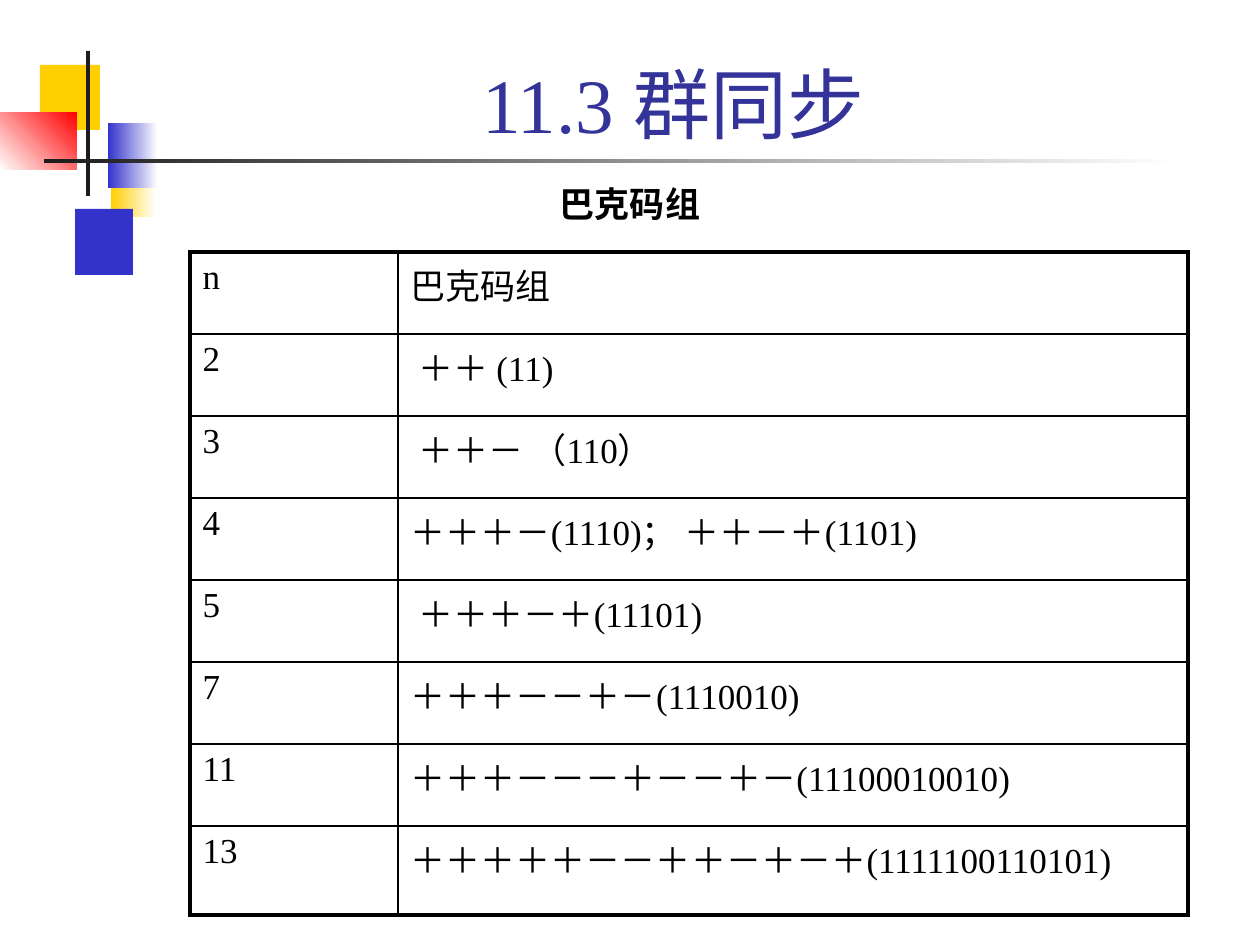
"""Build the Barker code group slide."""
from dataclasses import dataclass

from lxml import etree
from pptx import Presentation
from pptx.dml.color import RGBColor
from pptx.enum.shapes import MSO_SHAPE
from pptx.enum.text import MSO_ANCHOR, MSO_AUTO_SIZE, PP_ALIGN
from pptx.oxml.ns import qn
from pptx.util import Pt

RECT = MSO_SHAPE.RECTANGLE
CENTER = PP_ALIGN.CENTER
BOTTOM = MSO_ANCHOR.BOTTOM
FIXED = MSO_AUTO_SIZE.NONE


@dataclass(frozen=True)
class Theme:
    font: str = "Times New Roman"
    title: str = "333399"
    text: str = "000000"
    white: str = "FFFFFF"
    yellow: str = "FFCF01"
    blue: str = "3333CC"
    red: str = "FF0000"
    dark: str = "1C1C1C"
    title_size: int = 44
    body_size: int = 20
    outer_line: float = 2.25
    inner_line: float = 1


T = Theme()
TITLE = "11.3 群同步"
CAPTION = "巴克码组"
CODES = [
    ("n", "巴克码组"),
    ("2", " ＋＋ (11)"),
    ("3", " ＋＋－ （110）"),
    ("4", "＋＋＋－(1110)； ＋＋－＋(1101)"),
    ("5", " ＋＋＋－＋(11101)"),
    ("7", "＋＋＋－－＋－(1110010)"),
    ("11", "＋＋＋－－－＋－－＋－(11100010010)"),
    ("13", "＋＋＋＋＋－－＋＋－＋－＋(1111100110101)"),
]
ORNAMENTS = [
    ((111, 151, 45, 66), (T.yellow, T.white), 0),
    ((75, 209, 58, 66), (T.blue,), 0),
    ((40, 65, 60, 65), (T.yellow,), 0),
    ((108, 123, 50, 65), (T.blue, T.white), 0),
    ((0, 112, 77, 58), (T.white, T.red), 45),
    ((86, 51, 4, 145), (T.dark,), 0),
    ((44, 159, 1134, 4), (T.dark, T.white), 0),
]
TITLE_BOX = (95, 29, 1157, 126)
CAPTION_BOX = (350, 176, 560, 55)
TABLE_BOX = (190, 252, 998, 663)
COLUMNS = (208, 790)
ROW_HEIGHT = 82


def px(n):
    return round(n * 914400 / 126)


def box(lengths):
    return [px(n) for n in lengths]


def style(p, size, color, bold=False):
    p.font.name = T.font
    p.font.size = Pt(size)
    p.font.bold = bold
    p.font.color.rgb = RGBColor.from_string(color)


def add_ornament(slide, place, colors, angle):
    s = slide.shapes.add_shape(RECT, *box(place))
    s.shadow.inherit = False
    s.line.fill.background()
    if len(colors) == 1:
        s.fill.solid()
        s.fill.fore_color.rgb = RGBColor.from_string(colors[0])
        return
    s.fill.gradient()
    s.fill.gradient_angle = angle
    for i, (stop, color) in enumerate(zip(s.fill.gradient_stops, colors)):
        stop.position = i
        stop.color.rgb = RGBColor.from_string(color)


def set_borders(cell, outer):
    tcPr = cell._tc.get_or_add_tcPr()
    for i, side in enumerate("LRTB"):
        width = T.outer_line if side in outer else T.inner_line
        ln = etree.Element(qn(f"a:ln{side}"), w=str(Pt(width)))
        fill = etree.SubElement(ln, qn("a:solidFill"))
        etree.SubElement(fill, qn("a:srgbClr"), val=T.text)
        tcPr.insert(i, ln)


def add_codes(slide):
    last = len(CODES) - 1
    frame = slide.shapes.add_table(len(CODES), len(COLUMNS), *box(TABLE_BOX))
    table = frame.table
    table.first_row = table.horz_banding = False
    for column, width in zip(table.columns, COLUMNS):
        column.width = px(width)
    for r, texts in enumerate(CODES):
        rest = TABLE_BOX[3] - ROW_HEIGHT * last
        table.rows[r].height = px(rest if r == last else ROW_HEIGHT)
        for c, text in enumerate(texts):
            cell = table.cell(r, c)
            cell.text = text
            style(cell.text_frame.paragraphs[0], T.body_size, T.text)
            cell.fill.background()
            outer = "LR"[c] + ("T" if r == 0 else "B" if r == last else "")
            set_borders(cell, outer)


def main():
    prs = Presentation()
    prs.slide_width, prs.slide_height = px(1260), px(945)
    slide = prs.slides.add_slide(prs.slide_layouts[5])
    for ornament in ORNAMENTS:
        add_ornament(slide, *ornament)

    title = slide.shapes.title
    title.left, title.top, title.width, title.height = box(TITLE_BOX)
    caption = slide.shapes.add_textbox(*box(CAPTION_BOX))
    title.text_frame.vertical_anchor = BOTTOM
    for s, text, look in (
        (title, TITLE, (T.title_size, T.title)),
        (caption, CAPTION, (T.body_size, T.text, True)),
    ):
        tf = s.text_frame
        tf.text = text
        tf.word_wrap = True
        tf.auto_size = FIXED
        p = tf.paragraphs[0]
        p.alignment = CENTER
        style(p, *look)

    add_codes(slide)
    prs.save("out.pptx")


if __name__ == "__main__":
    main()
